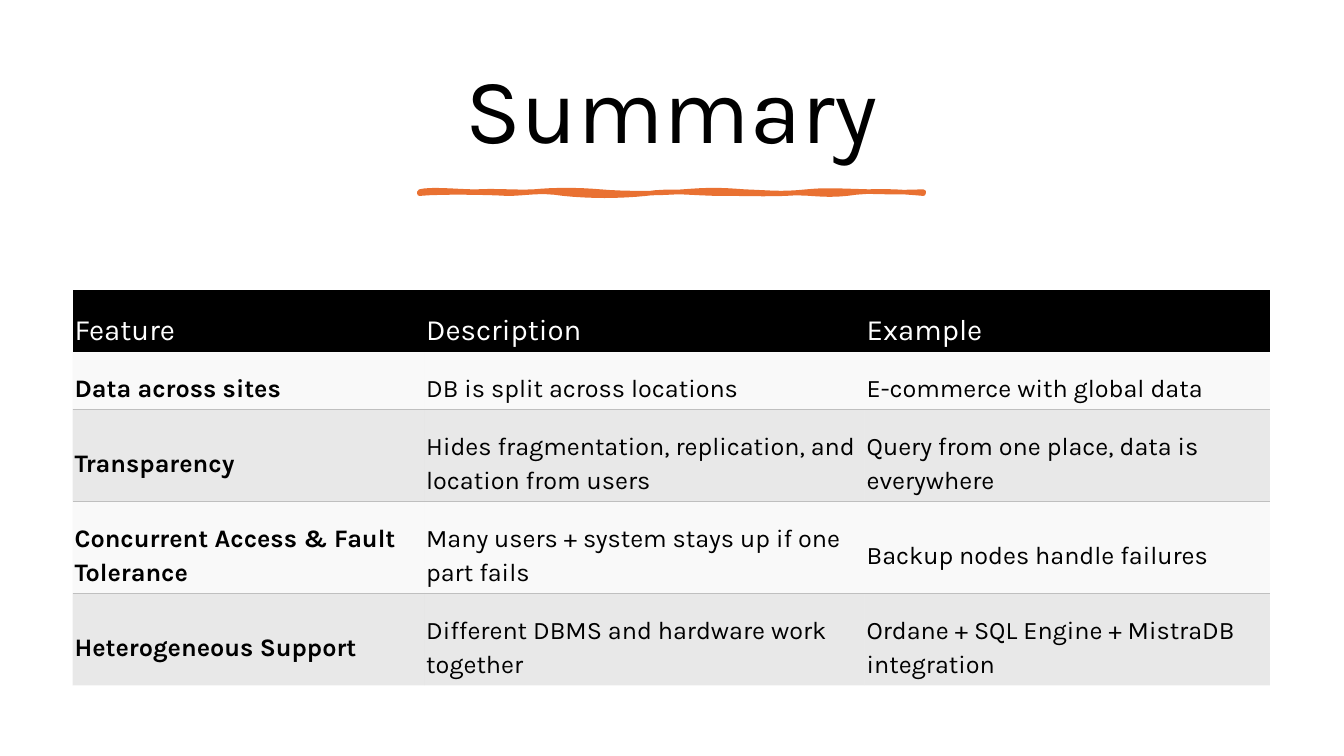
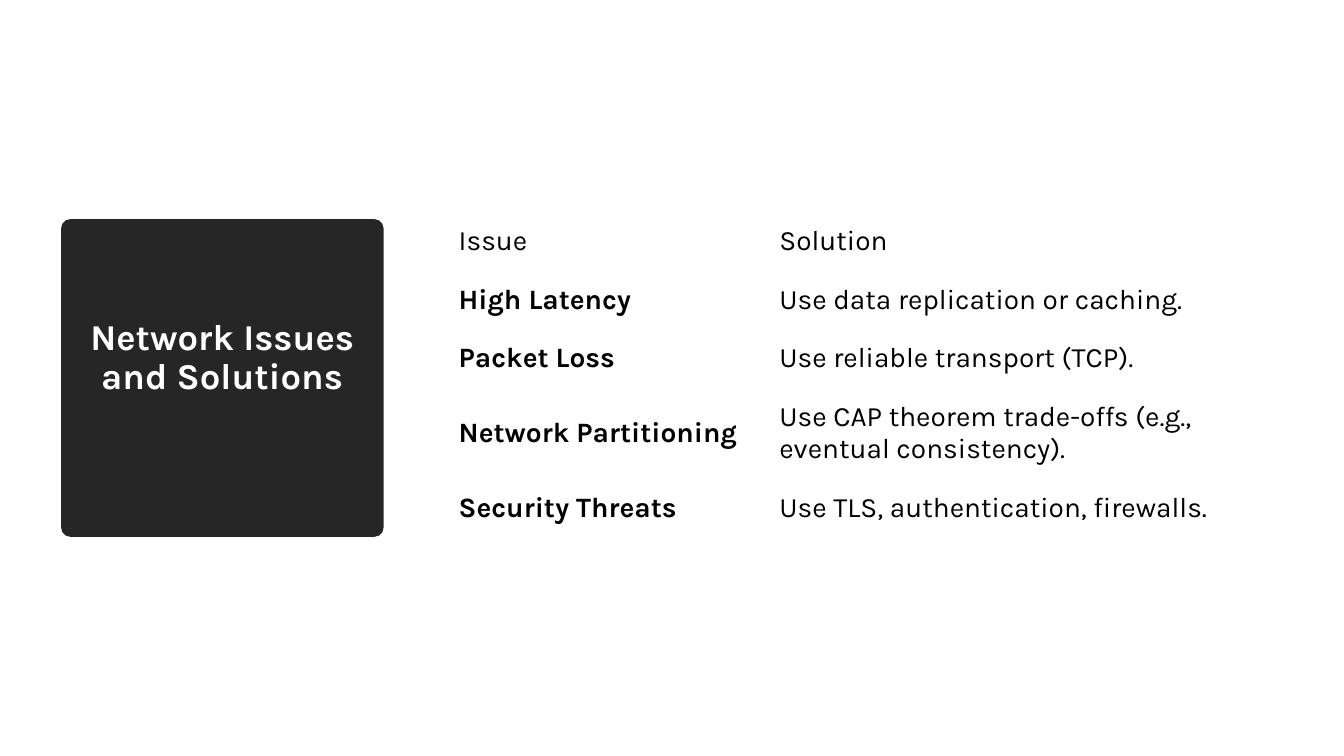
from lxml import etree
from pptx import Presentation
from pptx.dml.color import RGBColor
from pptx.enum.shapes import MSO_SHAPE
from pptx.enum.text import MSO_ANCHOR, PP_ALIGN
from pptx.oxml.ns import qn
from pptx.util import Cm, Pt

BOX = MSO_SHAPE.ROUNDED_RECTANGLE
MID = MSO_ANCHOR.MIDDLE
LEFT, CENTER = PP_ALIGN.LEFT, PP_ALIGN.CENTER

FONT = "Karla"
PLAIN = "{2D5ABB26-0587-4C30-8999-92F81FD0307C}"  # table style without grid
COLORS = {
    "text": "000000", "light": "FFFFFF", "panel": "262626", "accent": "E97132",
    "pale": "F2F2F2", "gray": "BFBFBF",
}

# Content
SUMMARY = [
    ("Feature", "Description", "Example"),
    ("Data across sites", "DB is split across locations",
     "E-commerce with global data"),
    ("Transparency",
     "Hides fragmentation, replication, and location from users",
     "Query from one place, data is everywhere"),
    ("Concurrent Access & Fault Tolerance",
     "Many users + system stays up if one part fails",
     "Backup nodes handle failures"),
    ("Heterogeneous Support", "Different DBMS and hardware work together",
     "Ordane + SQL Engine + MistraDB integration"),
]
ISSUES = [
    ("Issue", "Solution"),
    ("High Latency", "Use data replication or caching."),
    ("Packet Loss", "Use reliable transport (TCP)."),
    ("Network Partitioning",
     "Use CAP theorem trade-offs (e.g., eventual consistency)."),
    ("Security Threats", "Use TLS, authentication, firewalls."),
]

# Brush stroke outline in cm: a start, then two handles and an end per curve
BRUSH = [
    (10.57, 4.83),
    (10.87, 4.75), (11.53, 4.83), (12.01, 4.83),
    (12.5, 4.8), (12.93, 4.85), (13.44, 4.83),
    (13.94, 4.78), (14.58, 4.78), (15.14, 4.83),
    (15.67, 4.88), (16.59, 4.88), (17.2, 4.83),
    (17.83, 4.78), (18.14, 4.78), (18.77, 4.83),
    (19.38, 4.85), (19.66, 4.9), (20.32, 4.83),
    (20.98, 4.75), (22.02, 4.88), (23.27, 4.83),
    (23.29, 4.85), (23.27, 4.85), (23.27, 4.88),
    (22.73, 4.83), (21.97, 4.78), (21.34, 4.88),
    (20.7, 4.95), (20.35, 4.83), (19.79, 4.88),
    (19.2, 4.9), (18.97, 4.88), (18.21, 4.88),
    (17.45, 4.88), (16.94, 4.78), (16.28, 4.88),
    (15.6, 4.95), (14.86, 4.95), (14.2, 4.88),
    (13.56, 4.78), (13.28, 4.88), (12.78, 4.88),
    (12.27, 4.85), (11.13, 4.83), (10.57, 4.88),
]


def rgb(name):
    return RGBColor.from_string(COLORS[name])


def put(frame, text, size=18, color="text", bold=False, align=LEFT,
        lead=1.0, after=0):
    """Write one formatted paragraph."""
    frame.word_wrap = True
    par = frame.paragraphs[0]
    par.alignment, par.line_spacing, par.space_after = align, lead, Pt(after)
    run = par.add_run()
    run.text = text
    font = run.font
    font.name, font.size, font.bold = FONT, Pt(size), bold
    font.color.rgb = rgb(color)


def paint(cell, color, alpha=100):
    """Fill a cell, with opacity in percent."""
    cell.fill.solid()
    cell.fill.fore_color.rgb = rgb(color)
    if alpha < 100:
        tone = cell._tc.tcPr.find(".//" + qn("a:srgbClr"))
        etree.SubElement(tone, qn("a:alpha"), val=str(alpha * 1000))


def rule(cell, side):
    """Draw a gray border on one side ("lnT" or "lnB") of a cell."""
    line = etree.Element(qn("a:" + side), w=str(Pt(1)))
    fill = etree.SubElement(line, qn("a:solidFill"))
    etree.SubElement(fill, qn("a:srgbClr"), val=COLORS["gray"])
    cell._tc.get_or_add_tcPr().insert(0, line)


def grid(slide, data, left, top, cols, rows, pad, head, body, **fmt):
    """Add an unstyled table; pad holds the left, top, right, bottom insets."""
    frame = slide.shapes.add_table(len(rows), len(cols), Cm(left), Cm(top),
                                   Cm(sum(cols)), Cm(sum(rows)))
    table = frame.table
    table.first_row = table.horz_banding = False
    table._tbl.tblPr.find(qn("a:tableStyleId")).text = PLAIN
    for col, width in zip(table.columns, cols):
        col.width = Cm(width)
    for r, (row, high) in enumerate(zip(data, rows)):
        table.rows[r].height = Cm(high)
        for c, text in enumerate(row):
            cell = table.cell(r, c)
            cell.vertical_anchor = MID
            (cell.margin_left, cell.margin_top,
             cell.margin_right, cell.margin_bottom) = map(Cm, pad)
            look = body if r else head
            put(cell.text_frame, text, bold=r > 0 and c == 0, **look, **fmt)
    return table


def curve(knots, steps=8):
    """Yield points along joined cubic curves."""
    for i in range(0, len(knots) - 1, 3):
        for k in range(1, steps + 1):
            t = k / steps
            mix = ((1 - t) ** 3, 3 * t * (1 - t) ** 2,
                   3 * t * t * (1 - t), t ** 3)
            yield tuple(Cm(sum(m * p[d] for m, p in zip(mix, knots[i:i + 4])))
                        for d in (0, 1))


def summary(slide):
    # Title and brush stroke
    title = slide.shapes.add_textbox(Cm(1.78), Cm(1.17), Cm(30.3), Cm(3.37))
    title.text_frame.vertical_anchor = MID
    put(title.text_frame, "Summary", size=66, align=CENTER, lead=0.9)
    pen = slide.shapes.build_freeform(*map(Cm, BRUSH[0]))
    pen.add_line_segments(list(curve(BRUSH)), close=True)
    brush = pen.convert_to_shape()
    brush.shadow.inherit = False
    brush.fill.solid()
    brush.fill.fore_color.rgb = brush.line.color.rgb = rgb("accent")
    brush.line.width = Pt(3.25)

    # Banded table
    table = grid(slide, SUMMARY, 1.83, 7.31, [8.86, 11.1, 10.21],
                 [1.57, 1.43] + [2.32] * 3, (0.05, 0.38, 0.05, 0.05),
                 {"size": 21, "color": "light"}, {"size": 18},
                 lead=1.15, after=8)
    for r, row in enumerate(table.rows):
        for cell in row.cells:
            if r == 0:
                paint(cell, "text")
            elif r % 2:
                paint(cell, "pale", 45)
                rule(cell, "lnB")
            else:
                paint(cell, "gray", 35)
                rule(cell, "lnT")


def issues(slide):
    # Title panel
    panel = slide.shapes.add_shape(BOX, Cm(1.54), Cm(5.52), Cm(8.13), Cm(8.01))
    panel.adjustments[0] = 0.03
    panel.shadow.inherit = False
    panel.fill.solid()
    panel.fill.fore_color.rgb = rgb("panel")
    panel.line.fill.background()
    frame = panel.text_frame
    frame.vertical_anchor = MID
    frame.margin_left = frame.margin_right = Cm(0.5)
    frame.margin_bottom = Cm(1.13)
    put(frame, "Network Issues and Solutions", size=26, color="light",
        bold=True, align=CENTER, lead=0.9)

    # Open table
    grid(slide, ISSUES, 11.23, 5.44, [8.08, 11.89],
         [1.47] * 3 + [2.31, 1.47], (0.33, 0.15, 0.33, 0.33),
         {"size": 20}, {"size": 20})


def main():
    deck = Presentation()
    deck.slide_width, deck.slide_height = Cm(33.87), Cm(19.05)
    for build in (summary, issues):
        build(deck.slides.add_slide(deck.slide_layouts[6]))
    deck.save("out.pptx")


if __name__ == "__main__":
    main()
